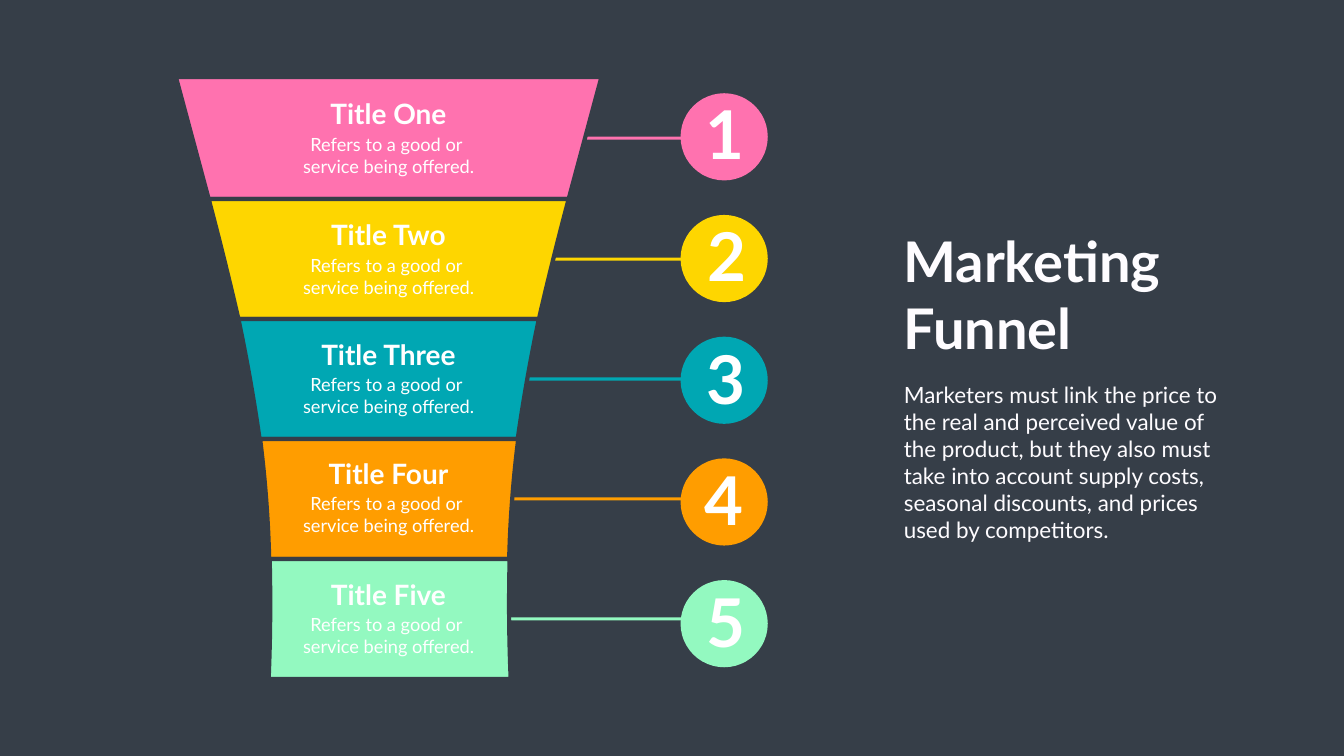
"""Build a five-tier marketing funnel slide."""
import math
from pptx import Presentation, util as u
from pptx.dml.color import RGBColor
from pptx.enum import shapes, text

HEAD = "Marketing Funnel"
BODY = ("Marketers must link the price to the real and perceived value of the product, "
        "but they also must take into account supply costs, seasonal discounts, "
        "and prices used by competitors.")
NOTE = ["Refers to a good or ", "service being offered."]
TIERS = [
    {"name": "Title One", "color": "FF72AF", "bow": 0, "mid": 7.71, "top": 1.87, "digit": (13.86, 1.78)},
    {"name": "Title Two", "color": "FED600", "bow": 0.01, "mid": 7.71, "top": 4.27, "digit": (13.89, 4.21)},
    {"name": "Title Three", "color": "00A7B3", "bow": 0.02, "mid": 7.71, "top": 6.64, "digit": (13.87, 6.65)},
    {"name": "Title Four", "color": "FF9D00", "bow": 0.03, "mid": 7.72, "top": 9, "digit": (13.84, 9.05)},
    {"name": "Title Five", "color": "93F9C0", "bow": 0.02, "mid": 7.73, "top": 11.4, "digit": (13.87, 11.47)},
]
EDGES = [(1.53, 4.22), (3.95, 3.57), (6.33, 2.98), (8.71, 2.56), (11.09, 2.38), (13.47, 2.4)]
STEPS = 12
PIN = {"left": 10.01, "hub": 14.37, "radius": 0.27, "half": 0.03}
DISC = {"left": 13.5, "top": 1.85, "size": 1.73, "step": 2.415}
THEME = {
    "font": "Lato", "back": "363E48", "white": "FFFFFF", "pale": "FEFCFF",
    "head": 80, "body": 32, "title": 40, "note": 26, "digit": 96, "gap": 6,
}
LEFT, RIGHT, CENTER = (text.PP_ALIGN.LEFT, text.PP_ALIGN.RIGHT, text.PP_ALIGN.CENTER)


def apply(item, **values):
    for name, value in values.items():
        setattr(item, name, value)


def tint(fill, color):
    fill.solid()
    fill.fore_color.rgb = RGBColor.from_string(color)


def place(shape, left, top, wide, high):
    apply(shape, left=u.Inches(left), top=u.Inches(top),
          width=u.Inches(wide), height=u.Inches(high))


def write(shape, lines, size, color="white", bold=False, align=LEFT, wrap=True):
    frame = shape.text_frame
    frame.text = "\n".join(lines)
    apply(frame, word_wrap=wrap, auto_size=text.MSO_AUTO_SIZE.NONE,
          vertical_anchor=text.MSO_ANCHOR.TOP)
    for para in frame.paragraphs:
        para.alignment = align
        apply(para.font, name=THEME["font"], size=u.Pt(THEME[size]), bold=bold)
        para.font.color.rgb = RGBColor.from_string(THEME[color])


def label(slide, area, lines, size, **style):
    write(slide.shapes.add_textbox(*map(u.Inches, area)), lines, size, **style)


def paint(shape, color):
    shape.shadow.inherit = False
    tint(shape.fill, color)
    shape.line.fill.background()
    return shape


def outline(slide, points, color):
    first, *rest = [(u.Inches(x), u.Inches(y)) for x, y in points]
    path = slide.shapes.build_freeform(*first)
    path.add_line_segments(rest, close=True)
    return paint(path.convert_to_shape(), color)


def add_band(slide, upper, lower, tier):
    (top, wide), (base, slim) = upper, lower
    mid, side = tier["mid"], []
    for step in range(STEPS + 1):
        part = step / STEPS
        half = wide + (slim - wide) * part - tier["bow"] * 4 * part * (1 - part)
        side.append((half, top + (base - top) * part))
    points = [(mid - x, y) for x, y in side] + [(mid + x, y) for x, y in reversed(side)]
    band = outline(slide, points, tier["color"])
    tint(band.line.fill, THEME["back"])
    band.line.width = u.Pt(THEME["gap"])


def add_pin(slide, y, color):
    left, hub, radius, half = PIN.values()
    start = math.pi + math.asin(half / radius)
    sweep = 2 * (math.pi - math.asin(half / radius))
    turns = [start + sweep * step / (2 * STEPS) for step in range(2 * STEPS + 1)]
    points = [(left, y + half), (left, y - half)]
    points += [(hub + radius * math.cos(a), y + radius * math.sin(a)) for a in turns]
    outline(slide, points, color)


def add_disc(slide, row, tier):
    top, size = DISC["top"] + row * DISC["step"], DISC["size"]
    area = map(u.Inches, (DISC["left"], top, size, size))
    paint(slide.shapes.add_shape(shapes.MSO_SHAPE.OVAL, *area), tier["color"])
    label(slide, (*tier["digit"], 1.01, 1.72), [str(row + 1)], "digit",
          bold=True, align=RIGHT)


def main():
    deck = Presentation()
    apply(deck, slide_width=u.Inches(26.66), slide_height=u.Inches(15))
    slide = deck.slides.add_slide(deck.slide_layouts[5])
    tint(slide.background.fill, THEME["back"])
    place(slide.shapes.title, 17.82, 4.44, 5.57, 2.79)
    write(slide.shapes.title, [HEAD], "head", color="pale", bold=True)
    label(slide, (17.83, 7.52, 6.63, 3.33), [BODY], "body", color="pale")
    for row, tier in enumerate(TIERS):
        upper, lower = EDGES[row:row + 2]
        top = tier["top"]
        add_pin(slide, (upper[0] + lower[0]) / 2, tier["color"])
        add_band(slide, upper, lower, tier)
        add_disc(slide, row, tier)
        label(slide, (6.24, top, 2.93, 0.77), [tier["name"]], "title",
              bold=True, align=CENTER, wrap=False)
        label(slide, (5.88, top + 0.72, 3.66, 0.98), NOTE, "note",
              align=CENTER, wrap=False)
    deck.save("out.pptx")


if __name__ == "__main__":
    main()
